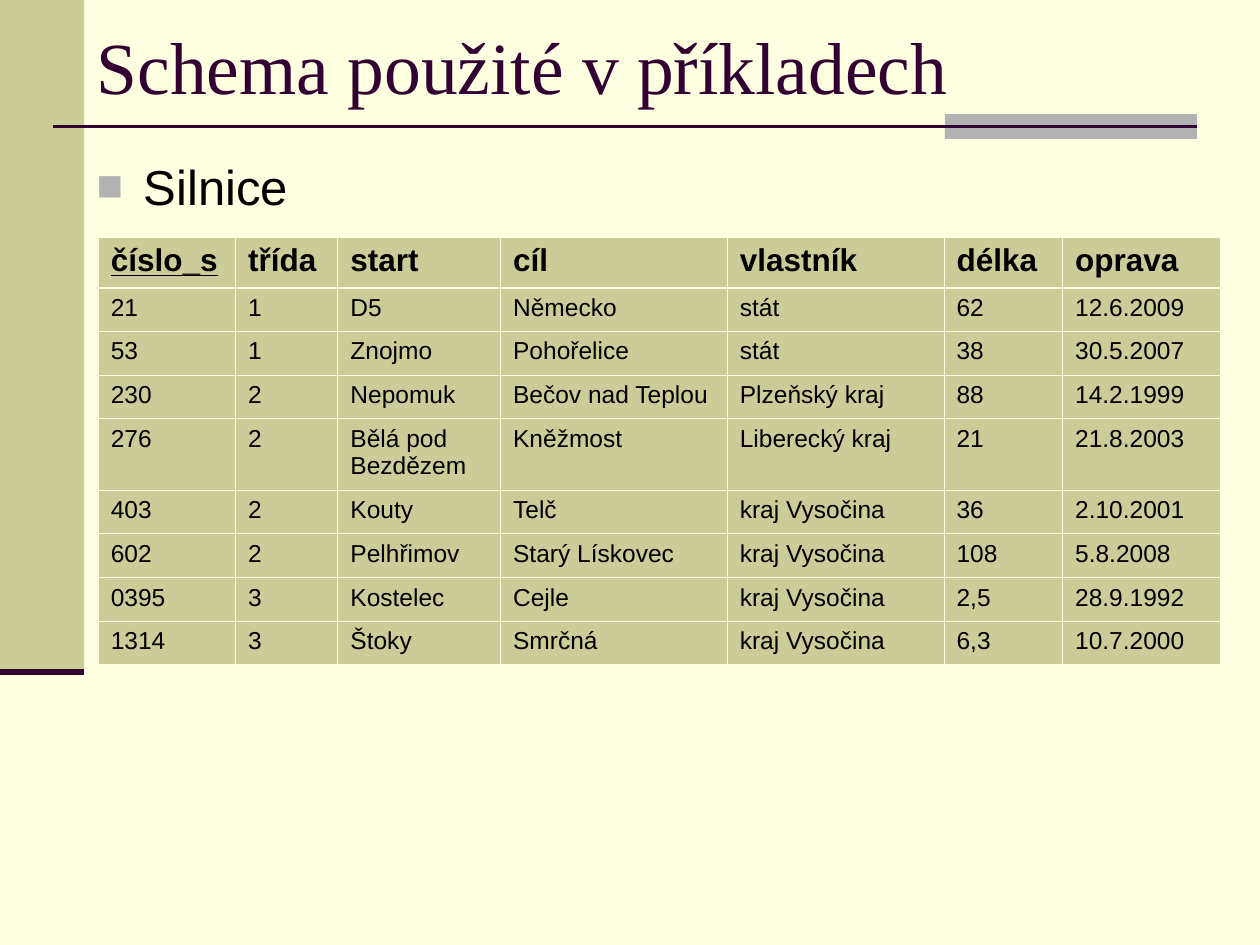
"""Build a slide that shows the road table of the example schema."""
from lxml.etree import SubElement
from pptx import Presentation
from pptx.dml.color import RGBColor
from pptx.enum.shapes import MSO_CONNECTOR, MSO_SHAPE
from pptx.enum.text import MSO_ANCHOR
from pptx.oxml.ns import qn
from pptx.util import Cm, Pt

CREAM, OLIVE, GRAY, PLUM, BLACK = "FFFFE1", "CCCC99", "B2B2B2", "330033", "000000"


def color(value):
    return RGBColor.from_string(value)


def add_span(para, text, size, font_name, value):
    span = para.add_run()
    span.text = text
    span.font.size = Pt(size)
    span.font.name = font_name
    span.font.color.rgb = color(value)
    return span


deck = Presentation()
deck.slide_width, deck.slide_height = Cm(25.4), Cm(19.05)
page = deck.slides.add_slide(deck.slide_layouts[6])
page.background.fill.solid()
page.background.fill.fore_color.rgb = color(CREAM)

bars = []
for left, top, width, height, value in [
    (0, 0, 1.7, 13.54, OLIVE),
    (19.05, 2.3, 5.08, 0.5, GRAY),
]:
    bar = page.shapes.add_shape(MSO_SHAPE.RECTANGLE, Cm(left), Cm(top), Cm(width), Cm(height))
    bar.shadow.inherit = False
    bar.fill.solid()
    bar.fill.fore_color.rgb = color(value)
    bar.line.fill.background()
    bars.append(bar)

rules = []
for start, end, height, weight in [(1.07, 24.13, 2.55, 1.5), (0, 1.7, 13.54, 3.5)]:
    rule = page.shapes.add_connector(
        MSO_CONNECTOR.STRAIGHT, Cm(start), Cm(height), Cm(end), Cm(height)
    )
    rule.line.color.rgb = color(PLUM)
    rule.line.width = Pt(weight)
    SubElement(rule._element.spPr, qn("a:effectLst"))
    rules.append(rule)
rules[0].end_connect(bars[1], 3)

paras = []
for top, height, inset, anchor in [
    (0, 2.31, 0.43, MSO_ANCHOR.MIDDLE),
    (2.92, 16.13, 0.23, MSO_ANCHOR.TOP),
]:
    box = page.shapes.add_textbox(Cm(1.7), Cm(top), Cm(23.7), Cm(height))
    box.text_frame.word_wrap = True
    box.text_frame.margin_top = Cm(inset)
    box.text_frame.vertical_anchor = anchor
    paras.append(box.text_frame.paragraphs[0])
title, item = paras
add_span(title, "Schema použité v příkladech", 42, "Times New Roman", PLUM)

properties = item._p.get_or_add_pPr()
properties.set("marL", str(Cm(0.95)))
properties.set("indent", str(Cm(-0.95)))
bullet_color = SubElement(properties, qn("a:buClr"))
SubElement(bullet_color, qn("a:srgbClr"), val=GRAY)
SubElement(properties, qn("a:buSzPct"), val="90000")
SubElement(properties, qn("a:buFont"), typeface="Arial")
SubElement(properties, qn("a:buChar"), char="■")
add_span(item, "Silnice", 28, "Arial", BLACK)

roads = [
    ("číslo_s", "třída", "start", "cíl", "vlastník", "délka", "oprava"),
    ("21", "1", "D5", "Německo", "stát", "62", "12.6.2009"),
    ("53", "1", "Znojmo", "Pohořelice", "stát", "38", "30.5.2007"),
    ("230", "2", "Nepomuk", "Bečov nad Teplou", "Plzeňský kraj", "88", "14.2.1999"),
    ("276", "2", "Bělá pod Bezdězem", "Kněžmost", "Liberecký kraj", "21", "21.8.2003"),
    ("403", "2", "Kouty", "Telč", "kraj Vysočina", "36", "2.10.2001"),
    ("602", "2", "Pelhřimov", "Starý Lískovec", "kraj Vysočina", "108", "5.8.2008"),
    ("0395", "3", "Kostelec", "Cejle", "kraj Vysočina", "2,5", "28.9.1992"),
    ("1314", "3", "Štoky", "Smrčná", "kraj Vysočina", "6,3", "10.7.2000"),
]
column_widths = [2.77, 2.06, 3.28, 4.57, 4.37, 2.39, 3.18]
row_heights = [1.02] + [0.88] * 3 + [1.44] + [0.88] * 4
table = page.shapes.add_table(
    len(roads), len(column_widths), Cm(1.98), Cm(4.78),
    Cm(sum(column_widths)), Cm(sum(row_heights)),
).table
table.horz_banding = False
for column, width in zip(table.columns, column_widths):
    column.width = Cm(width)
for row, height in zip(table.rows, row_heights):
    row.height = Cm(height)

for row_index, road in enumerate(roads):
    header = row_index == 0
    for column_index, text in enumerate(road):
        cell = table.cell(row_index, column_index)
        cell_properties = cell._tc.get_or_add_tcPr()
        for side in ("lnL", "lnR", "lnT", "lnB"):
            heavy = (row_index, side) in [(0, "lnB"), (1, "lnT")]
            border = SubElement(
                cell_properties, qn(f"a:{side}"), w=str(Pt(1.47 if heavy else 0.45))
            )
            border_fill = SubElement(border, qn("a:solidFill"))
            SubElement(border_fill, qn("a:srgbClr"), val=CREAM)
        cell.fill.solid()
        cell.fill.fore_color.rgb = color(OLIVE)
        para = cell.text_frame.paragraphs[0]
        span = add_span(para, text, 18 if header else 14, "Arial", BLACK)
        span.font.bold = header
        span.font.underline = header and column_index == 0
table.first_row = False

deck.save("out.pptx")
